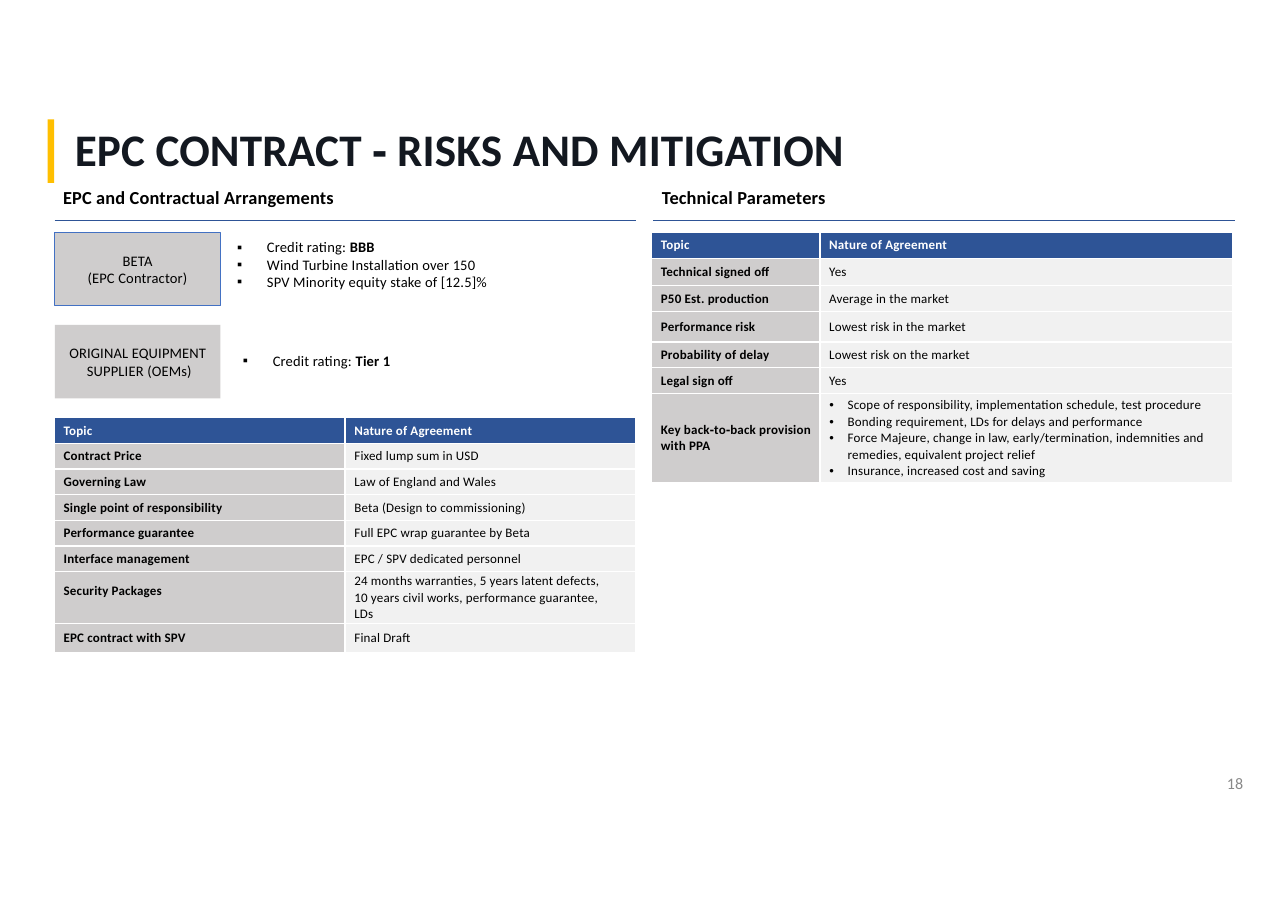
"""Build the EPC contract risks and mitigation slide."""
from dataclasses import dataclass

from lxml.etree import SubElement
from pptx import Presentation
from pptx.dml.color import RGBColor
from pptx.enum.shapes import MSO_CONNECTOR as Connector, MSO_SHAPE as Preset
from pptx.enum.text import MSO_ANCHOR as Anchor, MSO_AUTO_SIZE as AutoSize, PP_ALIGN as Align
from pptx.oxml.ns import qn
from pptx.slide import Slide
from pptx.text.text import TextFrame
from pptx.util import Pt

FONT = "Calibri"
NAVY, GREY, PALE = "2E5496", "CFCDCD", "F1F1F1"
BLACK, WHITE = "000000", "FFFFFF"


@dataclass
class Party:
    top: float
    label: list[str]
    facts: list[str]
    facts_left: float
    facts_top: float
    border: str | None = None
    align: Align = Align.CENTER
    margin: float = 0
    hanging: float = 0


@dataclass
class Topic:
    name: str
    agreement: list[str]
    height: float = 16.8
    bullet: str | None = None
    lift: float = 0
    right: float = 0


@dataclass
class Section:
    heading: str
    heading_left: float
    rule_left: float
    table_left: float
    table_top: float
    widths: tuple[float, float]
    topics: list[Topic]


def rgb(value: str) -> RGBColor:
    """Turn a hex string into a colour."""
    return RGBColor.from_string(value)


def write(frame: TextFrame, lines: list[str], *, size: float, color: str = BLACK,
          bold: bool = False, align: Align = Align.LEFT, anchor: Anchor = Anchor.TOP,
          bullet: str | None = None, margin: float = 0, hanging: float = 0,
          spacing: float = 1, wrap: bool = True) -> None:
    """Write one paragraph per line, with asterisks around bold words."""
    frame.auto_size, frame.word_wrap, frame.vertical_anchor = AutoSize.NONE, wrap, anchor
    for index, line in enumerate(lines):
        paragraph = frame.paragraphs[0] if index == 0 else frame.add_paragraph()
        paragraph.alignment, paragraph.line_spacing = align, spacing
        properties = paragraph._p.get_or_add_pPr()
        properties.set("marL", str(Pt(margin)))
        properties.set("indent", str(Pt(-hanging)))
        if bullet:
            SubElement(properties, qn("a:buFont"), typeface="Arial")
            SubElement(properties, qn("a:buChar"), char=bullet)
        for part, words in enumerate(line.split("*")):
            if not words:
                continue
            run = paragraph.add_run()
            run.text = words
            run.font.name, run.font.size = FONT, Pt(size)
            run.font.bold = bold or part % 2 == 1
            run.font.color.rgb = rgb(color)
            run._r.get_or_add_rPr().set("spc", "10")


def clear_margins(frame: TextFrame) -> None:
    """Remove the inner margins of a text frame."""
    frame.margin_left = frame.margin_right = frame.margin_top = frame.margin_bottom = 0


def add_text(slide: Slide, left: float, top: float, width: float, height: float,
             lines: list[str], **style) -> None:
    """Add a text box without margins."""
    frame = slide.shapes.add_textbox(Pt(left), Pt(top), Pt(width), Pt(height)).text_frame
    clear_margins(frame)
    write(frame, lines, **style)


def add_box(slide: Slide, left: float, top: float, width: float, height: float,
            fill: str, border: str | None = None) -> TextFrame:
    """Add a filled rectangle and return its text frame."""
    box = slide.shapes.add_shape(Preset.RECTANGLE, Pt(left), Pt(top), Pt(width), Pt(height))
    box.shadow.inherit = False
    box.fill.solid()
    box.fill.fore_color.rgb = rgb(fill)
    if border:
        box.line.color.rgb = rgb(border)
        box.line.width = Pt(0.75)
    else:
        box.line.fill.background()
    clear_margins(box.text_frame)
    return box.text_frame


def add_rule(slide: Slide, left: float, top: float, width: float) -> None:
    """Draw a horizontal rule."""
    rule = slide.shapes.add_connector(Connector.STRAIGHT, Pt(left), Pt(top), Pt(left + width), Pt(top))
    rule.line.color.rgb = rgb(NAVY)
    rule.line.width = Pt(1)
    SubElement(rule._element.spPr, qn("a:effectLst"))


def fill_cell(cell, lines: list[str], fill: str, right: float = 0, lift: float = 0, **style) -> None:
    """Fill, border and write one table cell."""
    properties = cell._tc.get_or_add_tcPr()
    for side in ("lnL", "lnR", "lnT", "lnB"):
        border = SubElement(properties, qn(f"a:{side}"), w=str(Pt(1)))
        SubElement(SubElement(border, qn("a:solidFill")), qn("a:srgbClr"), val=WHITE)
    cell.fill.solid()
    cell.fill.fore_color.rgb = rgb(fill)
    cell.margin_left = cell.margin_top = 0
    cell.margin_right, cell.margin_bottom = Pt(right), Pt(lift)
    cell.vertical_anchor = Anchor.MIDDLE
    write(cell.text_frame, lines, size=8.5, anchor=Anchor.MIDDLE, **style)


def add_section(slide: Slide, section: Section) -> None:
    """Draw a heading, its rule and its table of topics."""
    add_text(slide, section.heading_left, 121.5, 300, 16, [section.heading], size=12, bold=True)
    add_rule(slide, section.rule_left, 144.2, 379.8)
    rows = [Topic("Topic", ["Nature of Agreement"])] + section.topics
    table = slide.shapes.add_table(
        len(rows), 2, Pt(section.table_left), Pt(section.table_top),
        Pt(sum(section.widths)), Pt(sum(row.height for row in rows))).table
    for column, width in zip(table.columns, section.widths):
        column.width = Pt(width)
    for index, row in enumerate(rows):
        table.rows[index].height = Pt(row.height)
        header = index == 0
        color = WHITE if header else BLACK
        fill_cell(table.cell(index, 0), [row.name], NAVY if header else GREY,
                  lift=row.lift, color=color, bold=True, margin=6.1)
        fill_cell(table.cell(index, 1), row.agreement, NAVY if header else PALE,
                  right=row.right, color=color, bold=header, bullet=row.bullet,
                  margin=18.2 if row.bullet else 6.1, hanging=12 if row.bullet else 0,
                  spacing=1.03 if row.height > 30 else 1)


def add_party(slide: Slide, party: Party) -> None:
    """Draw a contract party and the facts beside it."""
    frame = add_box(slide, 35.8, party.top, 108.2, 48, GREY, party.border)
    write(frame, party.label, size=9.5, align=party.align, anchor=Anchor.MIDDLE,
          margin=party.margin, hanging=party.hanging)
    add_text(slide, party.facts_left, party.facts_top, 200, 12 * len(party.facts), party.facts,
             size=9.5, bullet="▪", margin=20.5, hanging=19.5)


PARTIES = [
    Party(152, ["BETA", "(EPC Contractor)"],
          ["Credit rating: *BBB*", "Wind Turbine Installation over 150",
           "SPV Minority equity stake of [12.5]%"], 154, 155.8, border="4371C3"),
    Party(212.4, ["ORIGINAL EQUIPMENT SUPPLIER (OEMs)"], ["Credit rating: *Tier 1*"],
          157.8, 230, align=Align.LEFT, margin=21, hanging=11.5),
]
SECTIONS = [
    Section("EPC and Contractual Arrangements", 41.2, 35.8, 35.5, 273, (190, 190), [
        Topic("Contract Price", ["Fixed lump sum in USD"]),
        Topic("Governing Law", ["Law of England and Wales"]),
        Topic("Single point of responsibility", ["Beta (Design to commissioning)"]),
        Topic("Performance guarantee", ["Full EPC wrap guarantee by Beta"]),
        Topic("Interface management", ["EPC / SPV dedicated personnel"]),
        Topic("Security Packages", ["24 months warranties, 5 years latent defects, 10 years civil "
                                    "works, performance guarantee, LDs"], 33.8, lift=8, right=18),
        Topic("EPC contract with SPV", ["Final Draft"], 19.2)]),
    Section("Technical Parameters", 432.5, 427, 425.8, 152, (110, 270), [
        Topic("Technical signed off", ["Yes"], 18),
        Topic("P50 Est. production", ["Average in the market"]),
        Topic("Performance risk", ["Lowest risk in the market"], 20),
        Topic("Probability of delay", ["Lowest risk on the market"]),
        Topic("Legal sign off", ["Yes"]),
        Topic("Key back‐to‐back provision with PPA",
              ["Scope of responsibility, implementation schedule, test procedure",
               "Bonding requirement, LDs for delays and performance",
               "Force Majeure, change in law, early/termination, indemnities and remedies, "
               "equivalent project relief",
               "Insurance, increased cost and saving"], 58.4, bullet="•")]),
]


def main() -> None:
    """Build and save the slide."""
    deck = Presentation()
    deck.slide_width, deck.slide_height = Pt(841.68), Pt(595.44)
    slide = deck.slides.add_slide(deck.slide_layouts[5])
    title = slide.shapes.title
    title.left, title.top, title.width, title.height = Pt(48.9), Pt(79), Pt(520), Pt(38)
    clear_margins(title.text_frame)
    write(title.text_frame, ["EPC CONTRACT ‐ RISKS AND MITIGATION"], size=29.5,
          color="131820", bold=True, wrap=False)
    add_box(slide, 31.2, 78, 4.2, 41.6, "FFBF00")
    for party in PARTIES:
        add_party(slide, party)
    for section in SECTIONS:
        add_section(slide, section)
    add_text(slide, 801.8, 505.8, 18, 13, ["18"], size=10.5, color="898989")
    deck.save("out.pptx")


if __name__ == "__main__":
    main()
